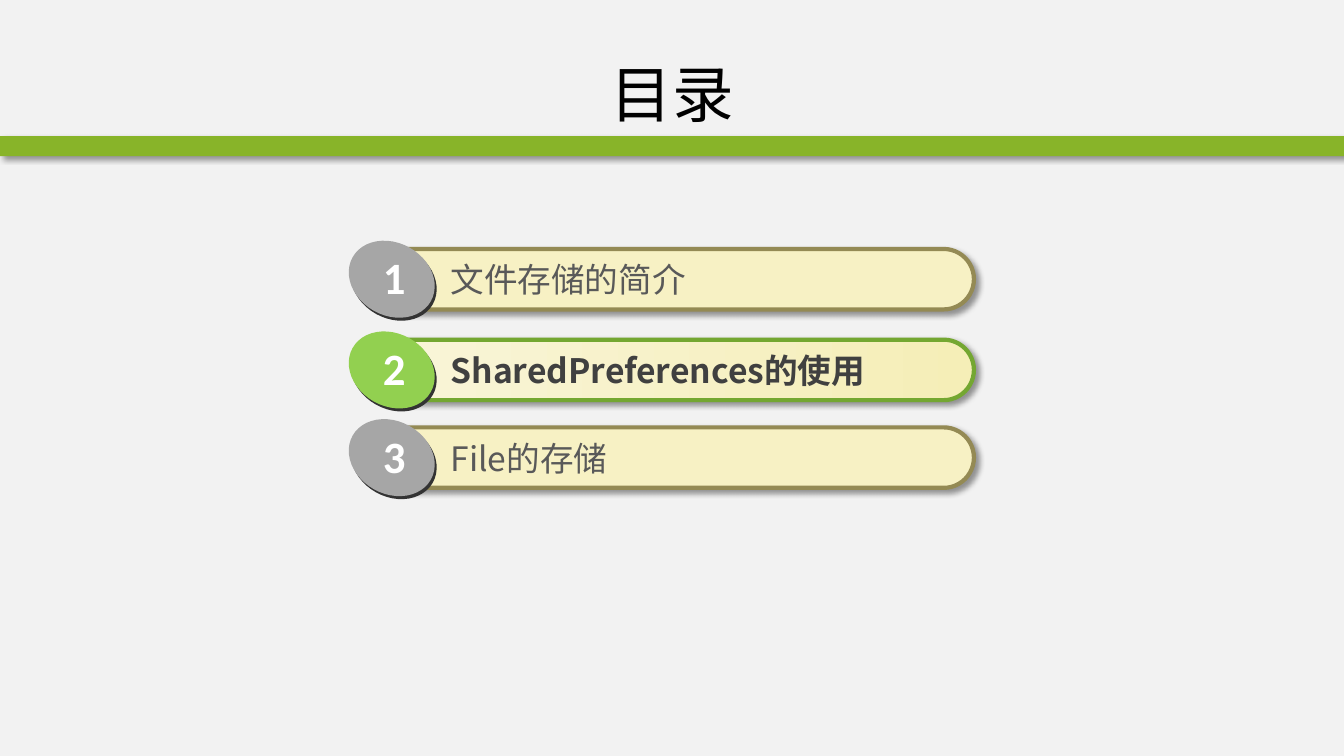
from lxml.etree import SubElement
from pptx import Presentation
from pptx.dml.color import RGBColor
from pptx.enum.shapes import MSO_SHAPE
from pptx.enum.text import MSO_ANCHOR, MSO_AUTO_SIZE, PP_ALIGN
from pptx.oxml.ns import qn
from pptx.util import Inches, Pt

BACKGROUND = RGBColor(0xF2, 0xF2, 0xF2)
BAND_GREEN = RGBColor(0x88, 0xB4, 0x29)
CREAM = RGBColor(0xF7, 0xF1, 0xC4)
CREAM_LIGHT = RGBColor(0xF9, 0xF5, 0xD9)
CREAM_DEEP = RGBColor(0xF5, 0xEE, 0xB7)
OLIVE = RGBColor(0x94, 0x8A, 0x54)
LEAF_GREEN = RGBColor(0x74, 0xA7, 0x31)
LIME = RGBColor(0x92, 0xD0, 0x50)
GRAY = RGBColor(0xA6, 0xA6, 0xA6)
TEXT_GRAY = RGBColor(0x59, 0x59, 0x59)
TEXT_DARK = RGBColor(0x40, 0x40, 0x40)
CHARCOAL = RGBColor(0x33, 0x33, 0x33)
BLACK = RGBColor(0, 0, 0)
WHITE = RGBColor(0xFF, 0xFF, 0xFF)

CHINESE_FONT = "Noto Sans CJK SC"
TITLE_FORMAT = {"name": CHINESE_FONT, "size": Pt(44), "bold": False}
LABEL_FORMAT = {"name": CHINESE_FONT, "size": Pt(24)}
NUMBER_FORMAT = {"name": "Calibri", "size": Pt(32), "bold": True}

NORMAL = {"fill": [CREAM], "border": OLIVE, "badge": GRAY,
          "text": TEXT_GRAY, "bold": False}
CURRENT = {"fill": [CREAM_LIGHT, CREAM_DEEP], "border": LEAF_GREEN, "badge": LIME,
           "text": TEXT_DARK, "bold": True}
CHAPTERS = [
    (2.47, "文件存储的简介", NORMAL),
    (3.37, "SharedPreferences的使用", CURRENT),
    (4.24, "File的存储", NORMAL),
]


class ContentsSlide:
    def __init__(self, presentation):
        self.slide = presentation.slides.add_slide(presentation.slide_layouts[5])
        background = self.slide.background.fill
        background.solid()
        background.fore_color.rgb = BACKGROUND

    def add_words(self, frame, text, color, formats):
        """Fill the frame with one run, using the font for East Asian text too."""
        run = frame.paragraphs[0].add_run()
        run.text = text
        for attribute, value in formats.items():
            setattr(run.font, attribute, value)
        run.font.color.rgb = color
        SubElement(run.font._element, qn("a:ea"), typeface=formats["name"])

    def title(self, text):
        heading = self.slide.shapes.title
        heading.left, heading.top = Inches(0.67), Inches(0.3)
        heading.width, heading.height = Inches(12), Inches(1.25)
        heading.text_frame.vertical_anchor = MSO_ANCHOR.MIDDLE
        heading.text_frame.paragraphs[0].alignment = PP_ALIGN.CENTER
        self.add_words(heading.text_frame, text, BLACK, TITLE_FORMAT)

    def shape(self, parent, preset, box, colors, border=None, shadow=False):
        """Draw a preset shape; two colors make a left-to-right gradient."""
        shape = parent.shapes.add_shape(preset, *map(Inches, box))
        if len(colors) == 1:
            shape.fill.solid()
            shape.fill.fore_color.rgb = colors[0]
        else:
            shape.fill.gradient()
            shape.fill.gradient_angle = 0
            for position, (stop, color) in enumerate(zip(shape.fill.gradient_stops, colors)):
                stop.position = position
                stop.color.rgb = color
        if border is None:
            shape.line.fill.background()
        else:
            shape.line.color.rgb = border
            shape.line.width = Pt(3)
        shape.shadow.inherit = False
        if shadow:
            self.cast_shadow(shape)
        return shape

    def cast_shadow(self, shape):
        effects = shape._element.spPr.find(qn("a:effectLst"))
        outer = SubElement(effects, qn("a:outerShdw"), blurRad=str(Pt(4)),
                           dist=str(Pt(3)), dir=str(45 * 60000),
                           algn="tl", rotWithShape="0")
        color = SubElement(outer, qn("a:srgbClr"), val=str(BLACK))
        SubElement(color, qn("a:alpha"), val="40000")

    def text(self, parent, box, text, color, formats, wrap=True):
        frame = parent.shapes.add_textbox(*map(Inches, box)).text_frame
        frame.word_wrap = wrap
        frame.auto_size = MSO_AUTO_SIZE.SHAPE_TO_FIT_TEXT
        self.add_words(frame, text, color, formats)

    def chapter(self, number, top, label, look):
        """Group a label bar with its numbered, tilted badge."""
        group = self.slide.shapes.add_group_shape()
        bar = self.shape(group, MSO_SHAPE.ROUNDED_RECTANGLE, (3.66, top, 6, 0.6),
                         look["fill"], look["border"], shadow=True)
        bar.adjustments[0] = 0.5
        self.text(group, (4.37, top + 0.05, 4.59, 0.51), label, look["text"],
                  LABEL_FORMAT | {"bold": look["bold"]})
        for left, rise, color in ((3.46, 0.03, CHARCOAL), (3.44, 0.06, look["badge"])):
            badge = self.shape(group, MSO_SHAPE.OVAL, (left, top - rise, 0.89, 0.72), [color])
            badge.rotation = 29.3
        self.text(group, (3.7, top - 0.04, 0.43, 0.64), str(number), WHITE,
                  NUMBER_FORMAT, wrap=False)


def main():
    presentation = Presentation()
    presentation.slide_width, presentation.slide_height = Inches(13.33), Inches(7.5)
    contents = ContentsSlide(presentation)
    contents.shape(contents.slide, MSO_SHAPE.RECTANGLE, (0, 1.35, 13.33, 0.2),
                   [BAND_GREEN], shadow=True)
    contents.title("目录")
    for number, (top, label, look) in enumerate(CHAPTERS, start=1):
        contents.chapter(number, top, label, look)
    presentation.save("out.pptx")


if __name__ == "__main__":
    main()
